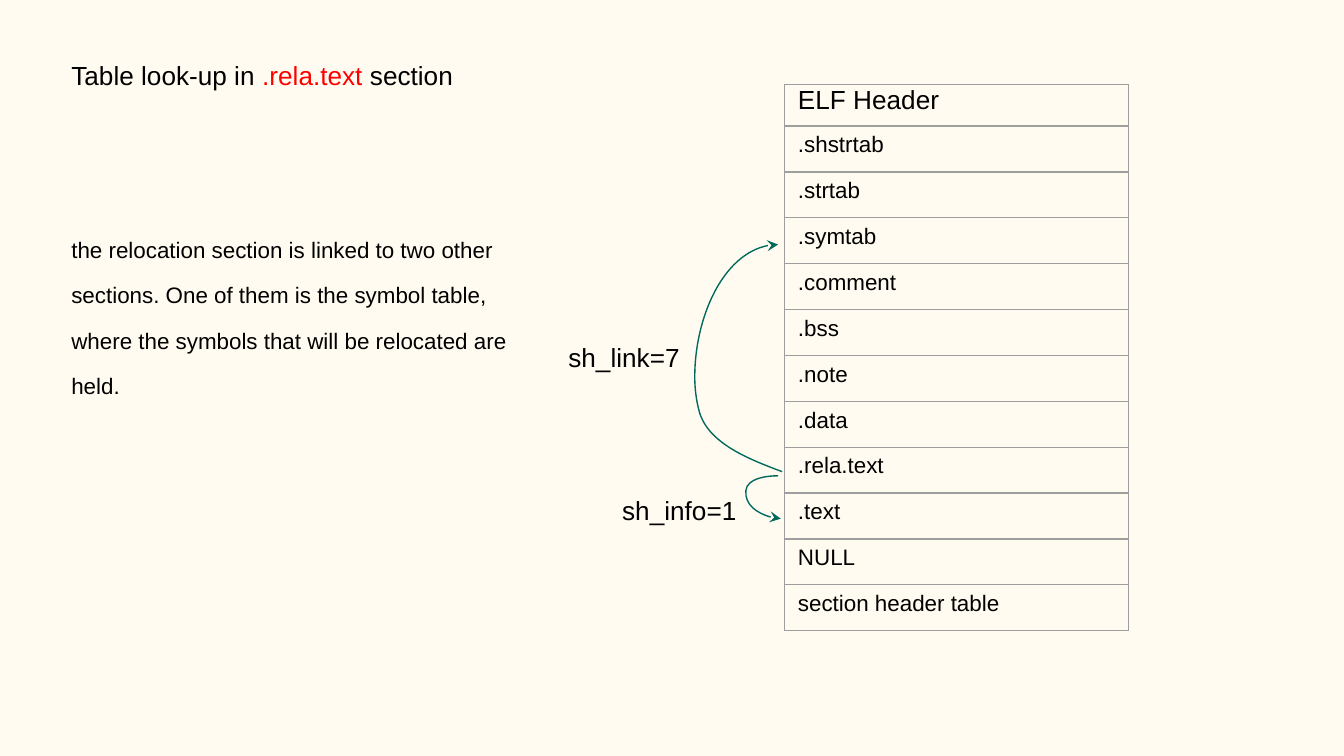
"""Build the slide on table look-up in the .rela.text section."""
from dataclasses import dataclass

import pptx
import pptx.dml.color
import pptx.enum.text
import pptx.oxml
import pptx.oxml.ns
import pptx.util
from pptx.util import Pt

BLACK = pptx.dml.color.RGBColor(0x00, 0x00, 0x00)
RED = pptx.dml.color.RGBColor(0xFF, 0x00, 0x00)
TEAL = pptx.dml.color.RGBColor(0x00, 0x69, 0x5C)
GREY = pptx.dml.color.RGBColor(0x9E, 0x9E, 0x9E)
CREAM = pptx.dml.color.RGBColor(0xFF, 0xFB, 0xF0)

FONT = "Arial"
INSET = 7.2
HEADER_HEIGHT = 22.2
SECTION_HEIGHT = 24.6
SECTIONS = (
    "ELF Header", ".shstrtab", ".strtab", ".symtab", ".comment", ".bss",
    ".note", ".data", ".rela.text", ".text", "NULL", "section header table",
)

Point = tuple[float, float]


@dataclass(frozen=True)
class Box:
    left: float
    top: float
    width: float
    height: float

    def lengths(self) -> tuple:
        return Pt(self.left), Pt(self.top), Pt(self.width), Pt(self.height)


@dataclass(frozen=True)
class Link:
    label: str
    label_box: Box
    start: Point
    curves: tuple[tuple[Point, Point, Point], ...]


LINKS = (
    Link(
        "sh_link=7", Box(297.4, 175.7, 247.7, 31.7), (419, 252.7),
        (
            ((401.8, 246.2), (378.7, 237.6), (374.4, 219.6)),
            ((373, 214.3), (372.2, 208.2), (372.2, 201.9)),
            ((372.2, 170.4), (389.3, 131), (416.9, 131)),
        ),
    ),
    Link(
        "sh_info=1", Box(326.2, 257.8, 126, 31.7), (416.9, 254.9),
        (
            ((410.4, 254.9), (400.3, 256.3), (399.6, 262.8)),
            ((398.9, 270.7), (409.7, 277.9), (418.3, 277.9)),
        ),
    ),
)


def make(tag: str, **attributes: str):
    element = pptx.oxml.parse_xml(f"<{tag} {pptx.oxml.ns.nsdecls('a')}/>")
    for name, value in attributes.items():
        element.set(name, value)
    return element


def write(frame, *runs: str, size: float = 14, accent: str = "",
          spacing: float = 1.0, after: float = 0):
    """Write one left-aligned paragraph, with the accent run in red."""
    frame.word_wrap = True
    paragraph = frame.paragraphs[0]
    paragraph.alignment = pptx.enum.text.PP_ALIGN.LEFT
    paragraph.line_spacing = spacing
    paragraph.space_before = Pt(0)
    paragraph.space_after = Pt(after)
    for words in runs:
        run = paragraph.add_run()
        run.text = words
        run.font.name = FONT
        run.font.size = Pt(size)
        run.font.bold = False
        run.font.color.rgb = RED if words == accent else BLACK
    return paragraph


def set_insets(target) -> None:
    target.margin_left = target.margin_right = Pt(INSET)
    target.margin_top = target.margin_bottom = Pt(INSET)


def place(shape, box: Box):
    """Move a text shape into its box and return its text frame."""
    shape.left, shape.top, shape.width, shape.height = box.lengths()
    frame = shape.text_frame
    frame.auto_size = pptx.enum.text.MSO_AUTO_SIZE.NONE
    frame.vertical_anchor = pptx.enum.text.MSO_ANCHOR.TOP
    set_insets(frame)
    return frame


def add_borders(cell) -> None:
    properties = cell._tc.get_or_add_tcPr()
    for position, side in enumerate(("lnL", "lnR", "lnT", "lnB")):
        border = make(f"a:{side}", w=str(Pt(0.75)))
        fill = make("a:solidFill")
        fill.append(make("a:srgbClr", val=str(GREY)))
        border.append(fill)
        properties.insert(position, border)


def add_sections(slide) -> None:
    height = HEADER_HEIGHT + SECTION_HEIGHT * (len(SECTIONS) - 1)
    area = Box(420.3, 45.2, 184.3, height)
    table = slide.shapes.add_table(len(SECTIONS), 1, *area.lengths()).table
    table.first_row = table.horz_banding = False
    for index, section in enumerate(SECTIONS):
        table.rows[index].height = Pt(SECTION_HEIGHT if index else HEADER_HEIGHT)
        cell = table.cell(index, 0)
        cell.fill.background()
        cell.vertical_anchor = pptx.enum.text.MSO_ANCHOR.MIDDLE
        set_insets(cell)
        add_borders(cell)
        write(cell.text_frame, section, size=12 if index else 14, spacing=0.5)


def add_link(slide, link: Link) -> None:
    """Draw a curved arrow between two sections, with its label."""
    builder = slide.shapes.build_freeform(Pt(link.start[0]), Pt(link.start[1]))
    builder.add_line_segments(
        [(Pt(x), Pt(y)) for *_, (x, y) in link.curves], close=False)
    arrow = builder.convert_to_shape()
    arrow.shadow.inherit = False
    arrow.fill.background()
    arrow.line.color.rgb = TEAL
    arrow.line.width = Pt(0.75)
    outline = arrow._element.spPr.find(pptx.oxml.ns.qn("a:ln"))
    outline.append(make("a:tailEnd", type="stealth"))

    segments = arrow._element.xpath(".//a:lnTo")
    for segment, points in zip(segments, link.curves):
        curve = make("a:cubicBezTo")
        for x, y in points:
            curve.append(make("a:pt", x=str(Pt(x) - arrow.left),
                              y=str(Pt(y) - arrow.top)))
        segment.getparent().replace(segment, curve)

    label = slide.shapes.add_textbox(*link.label_box.lengths())
    write(place(label, link.label_box), link.label)


def main() -> None:
    deck = pptx.Presentation()
    deck.slide_width, deck.slide_height = Pt(720), Pt(405)
    slide = deck.slides.add_slide(deck.slide_layouts[1])
    slide.background.fill.solid()
    slide.background.fill.fore_color.rgb = CREAM

    heading = place(slide.shapes.title, Box(31, 24.5, 247.7, 31.7))
    write(heading, "Table look-up in ", ".rela.text", " section",
          accent=".rela.text")

    explanation = place(slide.placeholders[1], Box(31, 109.4, 262.8, 176.4))
    explanation.margin_right = Pt(7.9)
    paragraph = write(
        explanation,
        "the relocation section is linked to two other sections. One of them "
        "is the symbol table, where the symbols that will be relocated are held.",
        size=12, spacing=1.69, after=12)
    properties = paragraph._p.get_or_add_pPr()
    properties.set("marL", "0")
    properties.set("indent", "0")
    properties.append(make("a:buNone"))

    add_sections(slide)
    for link in LINKS:
        add_link(slide, link)
    deck.save("out.pptx")


if __name__ == "__main__":
    main()
